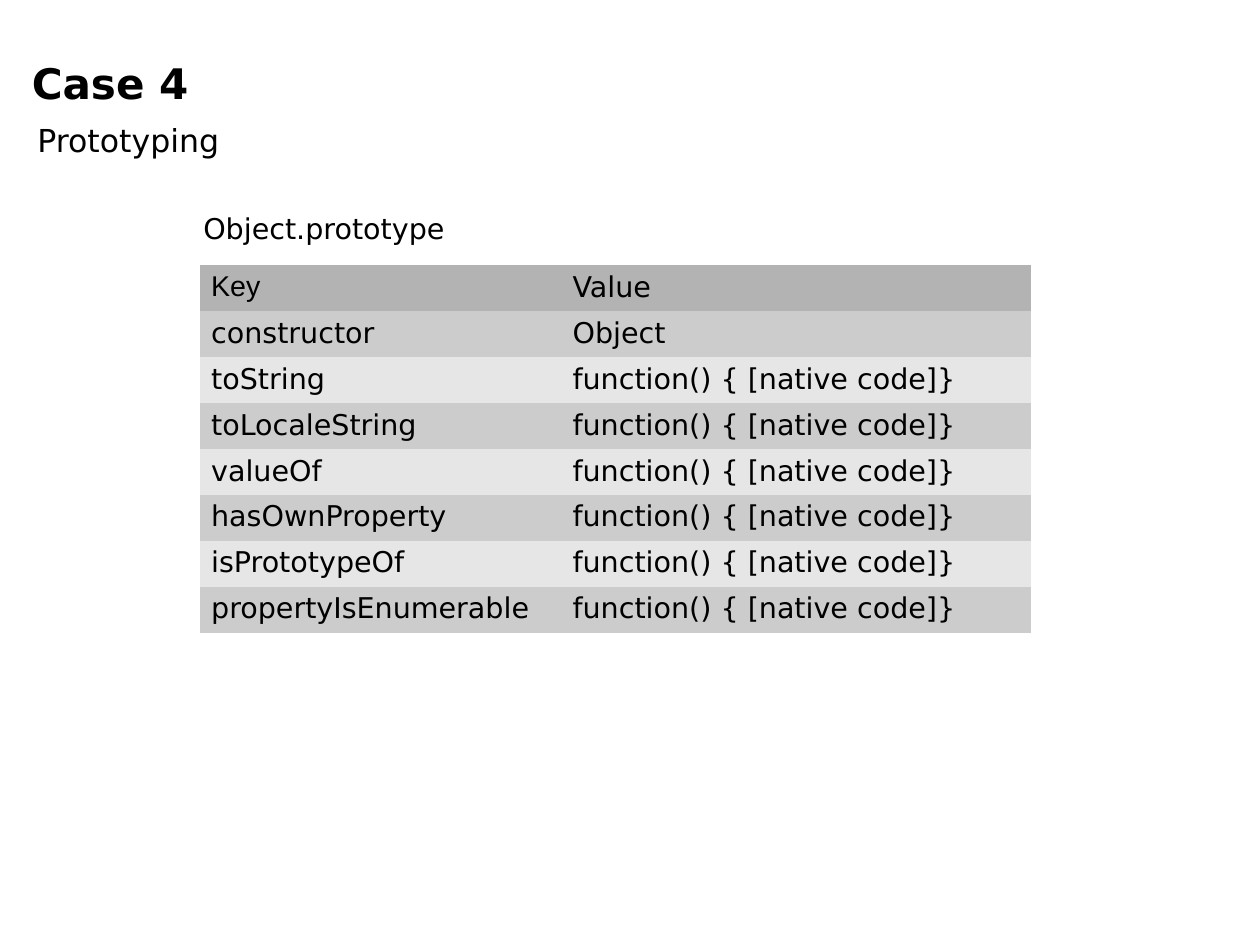
import lxml.etree
import pptx
import pptx.util
import pptx.dml.color
import pptx.enum.text
import pptx.oxml.ns

WIDE = pptx.util.Cm(28)
HIGH = pptx.util.Cm(21)
SANS = "DejaVu Sans"
COLORS = {"text": "000000", "head": "B3B3B3", "odd": "CCCCCC", "even": "E6E6E6"}
ANCHOR = pptx.enum.text.MSO_ANCHOR

NATIVE = "function() { [native code]}"
METHODS = ["toString", "toLocaleString", "valueOf", "hasOwnProperty",
           "isPrototypeOf", "propertyIsEnumerable"]
ROWS = [("Key", "Value"), ("constructor", "Object")]
ROWS += [(name, NATIVE) for name in METHODS]


def place(left, top, width, height):
    """Turn percentages of the slide into a box in EMU."""
    return (int(WIDE * left / 100), int(HIGH * top / 100),
            int(WIDE * width / 100), int(HIGH * height / 100))


def color(name):
    return pptx.dml.color.RGBColor.from_string(COLORS[name])


def write(frame, text, size, face=SANS, bold=False):
    para = frame.paragraphs[0]
    para.text = text
    para.font.size = pptx.util.Pt(size)
    para.font.name = face
    para.font.bold = bold
    para.font.color.rgb = color("text")


def add_text(slide, box, text, size, bold=False, wrap=True, anchor=ANCHOR.TOP):
    frame = slide.shapes.add_textbox(*box).text_frame
    frame.word_wrap = wrap
    frame.vertical_anchor = anchor
    write(frame, text, size, bold=bold)


def clear_lines(cell):
    """Hide the cell's borders; call before filling, as borders come first."""
    props = cell._tc.get_or_add_tcPr()
    for side in ("a:lnL", "a:lnR", "a:lnT", "a:lnB"):
        line = lxml.etree.SubElement(props, pptx.oxml.ns.qn(side))
        lxml.etree.SubElement(line, pptx.oxml.ns.qn("a:noFill"))


def add_grid(slide, box, rows, shares):
    """Fill the box with a banded table; shares are column widths in percent."""
    table = slide.shapes.add_table(len(rows), len(shares), *box).table
    table.first_row = table.horz_banding = False
    for column, share in zip(table.columns, shares):
        column.width = int(box[2] * share / 100)
    for r, row in enumerate(rows):
        table.rows[r].height = box[3] // len(rows)
        band = "head" if r == 0 else "odd" if r % 2 else "even"
        for c, text in enumerate(row):
            cell = table.cell(r, c)
            clear_lines(cell)
            cell.fill.solid()
            cell.fill.fore_color.rgb = color(band)
            write(cell.text_frame, text, 18, "Arial" if text == "Key" else SANS)


def main():
    deck = pptx.Presentation()
    deck.slide_width, deck.slide_height = WIDE, HIGH
    slide = deck.slides.add_slide(deck.slide_layouts[6])
    add_text(slide, place(1.63, 5.5, 95.74, 11), "Case 4", 26.5, bold=True)
    add_grid(slide, place(15.85, 28.03, 65.95, 38.94), ROWS, (43.5, 56.5))
    add_text(slide, place(15.24, 21.77, 20.96, 4.84), "Object.prototype", 18, wrap=False)
    add_text(slide, place(2.08, 12.21, 95, 5.2), "Prototyping", 19.9,
             anchor=ANCHOR.MIDDLE)
    deck.save("out.pptx")


if __name__ == "__main__":
    main()
